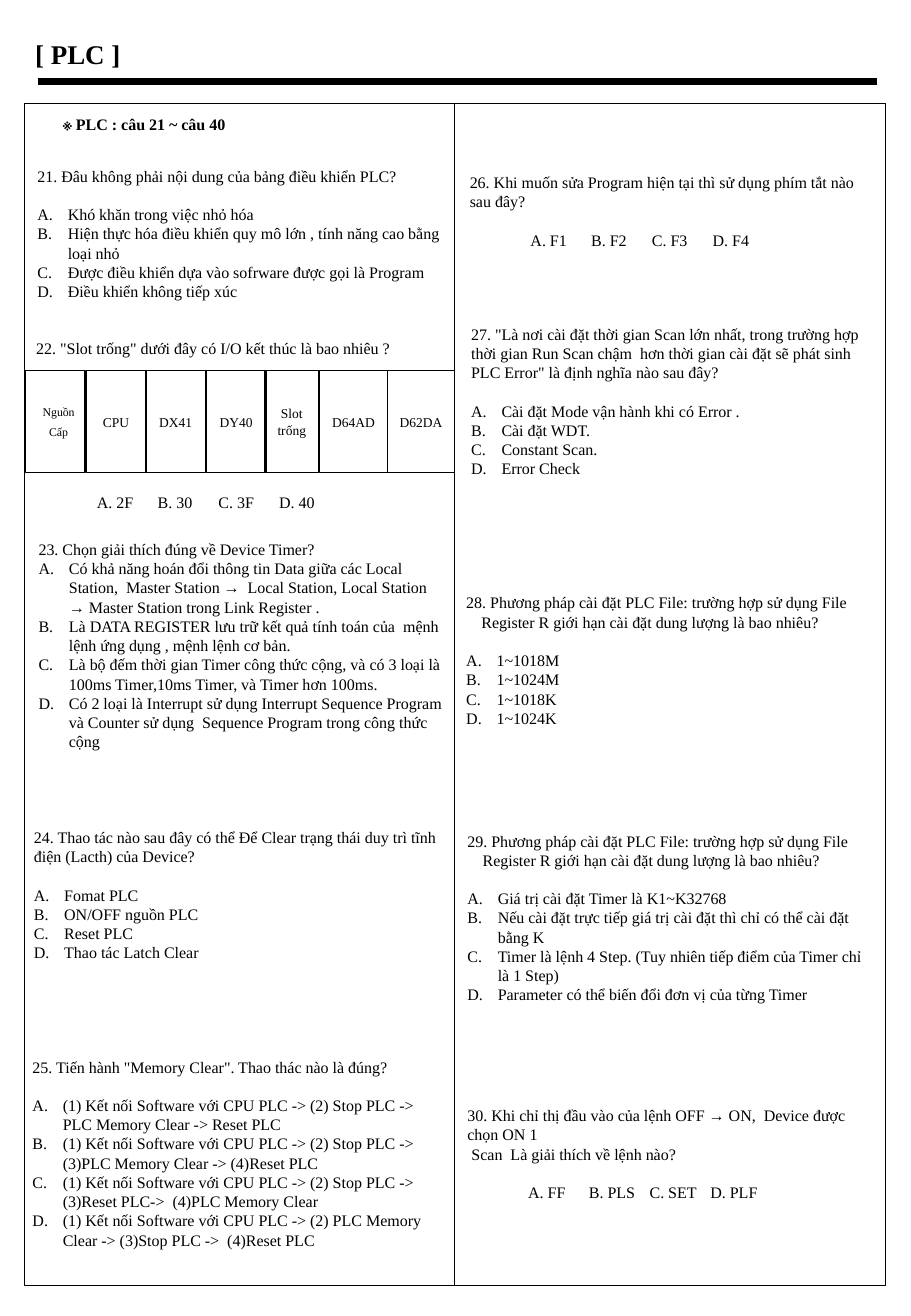
import pptx
import pptx.dml.color
import pptx.enum.shapes
import pptx.enum.text
import pptx.oxml
import pptx.util
from lxml import etree

Pt = pptx.util.Pt
FONT = "Times New Roman"
INK = "000000"
LINE = 11.4
COLUMN_WIDTH = 255


def color(hex_string):
    return pptx.dml.color.RGBColor.from_string(hex_string)


def add_element(parent, tag, **attributes):
    element = etree.SubElement(parent, pptx.oxml.ns.qn(tag))
    for key, value in attributes.items():
        element.set(key, str(value))
    return element


def write(paragraph, text, size=9.5, bold=False, align="LEFT", before=0,
          exact=None, margin=0, hang=0, lettered=False, tabs=()):
    paragraph.alignment = getattr(pptx.enum.text.PP_ALIGN, align)
    paragraph.space_before = Pt(before)
    if exact:
        paragraph.line_spacing = Pt(exact)
    properties = paragraph._p.get_or_add_pPr()
    properties.set("marL", str(Pt(margin)))
    properties.set("indent", str(Pt(-hang)))
    if lettered:
        add_element(properties, "a:buFont", typeface="+mj-lt")
        add_element(properties, "a:buAutoNum", type="alphaUcPeriod")
    if tabs:
        stops = add_element(properties, "a:tabLst")
        for position in tabs:
            add_element(stops, "a:tab", pos=Pt(position), algn="l")
    paragraph.text = text
    for run in paragraph.runs:
        run.font.name = FONT
        run.font.size = Pt(size)
        run.font.bold = bold
        run.font.color.rgb = color(INK)


def add_outline(slide, left, top, width, height):
    outline = slide.shapes.add_shape(
        pptx.enum.shapes.MSO_SHAPE.RECTANGLE,
        Pt(left), Pt(top), Pt(width), Pt(height))
    outline.shadow.inherit = False
    outline.fill.background()
    outline.line.color.rgb = color(INK)
    outline.line.width = Pt(0.75)
    return outline


def add_heading(slide, left, top, width, height):
    title = slide.shapes.title
    title.left, title.top = Pt(left), Pt(top)
    title.width, title.height = Pt(width), Pt(height)
    title.text_frame.word_wrap = False
    title.text_frame.vertical_anchor = pptx.enum.text.MSO_ANCHOR.MIDDLE
    write(title.text_frame.paragraphs[0], "[ PLC ]", size=16, bold=True)
    rule_y = Pt(top + 29.5)
    rule = slide.shapes.add_connector(
        pptx.enum.shapes.MSO_CONNECTOR.STRAIGHT,
        Pt(left + 8.6), rule_y, Pt(left + 506.1), rule_y)
    rule.line.color.rgb = color(INK)
    rule.line.width = Pt(4.5)
    add_element(rule._element.spPr, "a:effectLst")


def add_columns(slide, left, top, width, height):
    for column in range(2):
        add_outline(slide, left + column * width, top, width, height)
    section = slide.shapes.add_textbox(
        Pt(left + 8.6), Pt(top + 2.9), Pt(130), Pt(18.7))
    section.text_frame.word_wrap = False
    write(section.text_frame.paragraphs[0], "※ PLC : câu 21 ~ câu 40",
          bold=True, margin=7.2)


def add_question(slide, left, top, question, options=(), row="", tabs=(),
                 gap=1, hang=0, continuation=""):
    box = slide.shapes.add_textbox(
        Pt(left), Pt(top), Pt(COLUMN_WIDTH), Pt(88))
    frame = box.text_frame
    frame.word_wrap = True
    write(frame.paragraphs[0], question, exact=LINE, margin=hang, hang=hang)
    if continuation:
        write(frame.add_paragraph(), continuation, exact=LINE, margin=2.4)
    for index, option in enumerate(options):
        write(frame.add_paragraph(), option, exact=LINE, margin=18, hang=18,
              lettered=True, before=gap * LINE if index == 0 else 0)
    if row:
        write(frame.add_paragraph(), row, exact=LINE, before=gap * LINE,
              tabs=tabs)


def add_rack(slide, left, top, height):
    modules = [
        (["Nguồn", "Cấp"], 0, 35.3, 7, 4),
        (["CPU"], 36, 35.3, 8, 0),
        (["DX41"], 71.4, 35.3, 8, 0),
        (["DY40"], 107.3, 35.3, 8, 0),
        (["Slot\vtrống"], 142, 31.8, 8, 0),
        (["D64AD"], 174.3, 40.3, 8, 0),
        (["D62DA"], 214.7, 39.6, 8, 0),
    ]
    for labels, offset, width, size, inset in modules:
        module = add_outline(slide, left + offset, top, width, height)
        frame = module.text_frame
        frame.word_wrap = True
        frame.vertical_anchor = pptx.enum.text.MSO_ANCHOR.MIDDLE
        frame.margin_left, frame.margin_right = Pt(inset), Pt(0)
        for index, label in enumerate(labels):
            paragraph = frame.add_paragraph() if index else frame.paragraphs[0]
            write(paragraph, label, size=size, align="CENTER",
                  before=3.5 if index else 0)


LEFT_QUESTIONS = [
    dict(left=15.1, top=95, question="21. Đâu không phải nội dung của bảng điều khiển PLC?",
         options=["Khó khăn trong việc nhỏ hóa",
                  "Hiện thực hóa điều khiển quy mô lớn , tính năng cao bằng loại nhỏ",
                  "Được điều khiển dựa vào sofrware được gọi là Program",
                  "Điều khiển không tiếp xúc"]),
    dict(left=14.4, top=197.3, question="22. \"Slot trống\" dưới đây có I/O kết thúc là bao nhiêu ?",
         row="\tA. 2F\tB. 30\tC. 3F\tD. 40", tabs=(18, 75.3, 136, 193), gap=7),
    dict(left=15.8, top=316.1, question="23. Chọn giải thích đúng về Device Timer?", gap=0,
         options=["Có khả năng hoán đổi thông tin Data giữa các Local Station,  Master Station →  "
                  "Local Station, Local Station → Master Station trong Link Register .",
                  "Là DATA REGISTER lưu trữ kết quả tính toán của  mệnh lệnh ứng dụng , mệnh lệnh cơ bản.",
                  "Là bộ đếm thời gian Timer công thức cộng, và có 3 loại là 100ms Timer,10ms Timer, "
                  "và Timer hơn 100ms.",
                  "Có 2 loại là Interrupt sử dụng Interrupt Sequence Program và Counter sử dụng  "
                  "Sequence Program trong công thức cộng"]),
    dict(left=13, top=486.7,
         question="24. Thao tác nào sau đây có thể Để Clear trạng thái duy trì tĩnh điện (Lacth) của Device?",
         options=["Fomat PLC", "ON/OFF nguồn PLC", "Reset PLC", "Thao tác Latch Clear"]),
    dict(left=12.2, top=622.8, question="25. Tiến hành \"Memory Clear\". Thao thác nào là đúng?",
         options=["(1) Kết nối Software với CPU PLC -> (2) " + steps for steps in (
             "Stop PLC ->  PLC Memory Clear -> Reset PLC",
             "Stop PLC ->  (3)PLC Memory Clear -> (4)Reset PLC",
             "Stop PLC ->  (3)Reset PLC->  (4)PLC Memory Clear",
             "PLC Memory Clear -> (3)Stop PLC ->  (4)Reset PLC")]),
]

RIGHT_QUESTIONS = [
    dict(left=271.4, top=98.6, question="26. Khi muốn sửa Program hiện tại thì sử dụng phím tắt nào sau đây?",
         row="\tA. F1\tB. F2\tC. F3\tD. F4", tabs=(9, 63.5, 120.2, 179)),
    dict(left=272.2, top=188.6,
         question="27. \"Là nơi cài đặt thời gian Scan lớn nhất, trong trường hợp thời gian Run Scan chậm  "
                  "hơn thời gian cài đặt sẽ phát sinh PLC Error\" là định nghĩa nào sau đây?",
         options=["Cài đặt Mode vận hành khi có Error .", "Cài đặt WDT.", "Constant Scan.", "Error Check"]),
    dict(left=269.3, top=347.8, hang=9,
         question="28. Phương pháp cài đặt PLC File: trường hợp sử dụng File Register R giới hạn cài "
                  "đặt dung lượng là bao nhiêu?",
         options=["1~1018M", "1~1024M", "1~1018K", "1~1024K"]),
    dict(left=270, top=488.9, hang=9,
         question="29. Phương pháp cài đặt PLC File: trường hợp sử dụng File Register R giới hạn cài "
                  "đặt dung lượng là bao nhiêu?",
         options=["Giá trị cài đặt Timer là K1~K32768",
                  "Nếu cài đặt trực tiếp giá trị cài đặt thì chỉ có thể cài đặt bằng K",
                  "Timer là lệnh 4 Step. (Tuy nhiên tiếp điểm của Timer chỉ là 1 Step)",
                  "Parameter có thể biến đổi đơn vị của từng Timer"]),
    dict(left=270, top=651.6,
         question="30. Khi chỉ thị đầu vào của lệnh OFF → ON,  Device được chọn ON 1",
         continuation="Scan  Là giải thích về lệnh nào?",
         row="\tA. FF\tB. PLS\tC. SET\tD. PLF", tabs=(9, 63.5, 126.4, 192)),
]


def main():
    presentation = pptx.Presentation()
    presentation.slide_width = Pt(540)
    presentation.slide_height = Pt(779.76)
    slide = presentation.slides.add_slide(presentation.slide_layouts[5])
    add_heading(slide, 13.7, 18.7, 71.3, 26.6)
    add_columns(slide, 14.4, 61.2, 255.2, 700.6)
    for question in LEFT_QUESTIONS + RIGHT_QUESTIONS:
        add_question(slide, **question)
    add_rack(slide, 15.1, 219.6, 60.5)
    presentation.save("out.pptx")


if __name__ == "__main__":
    main()
